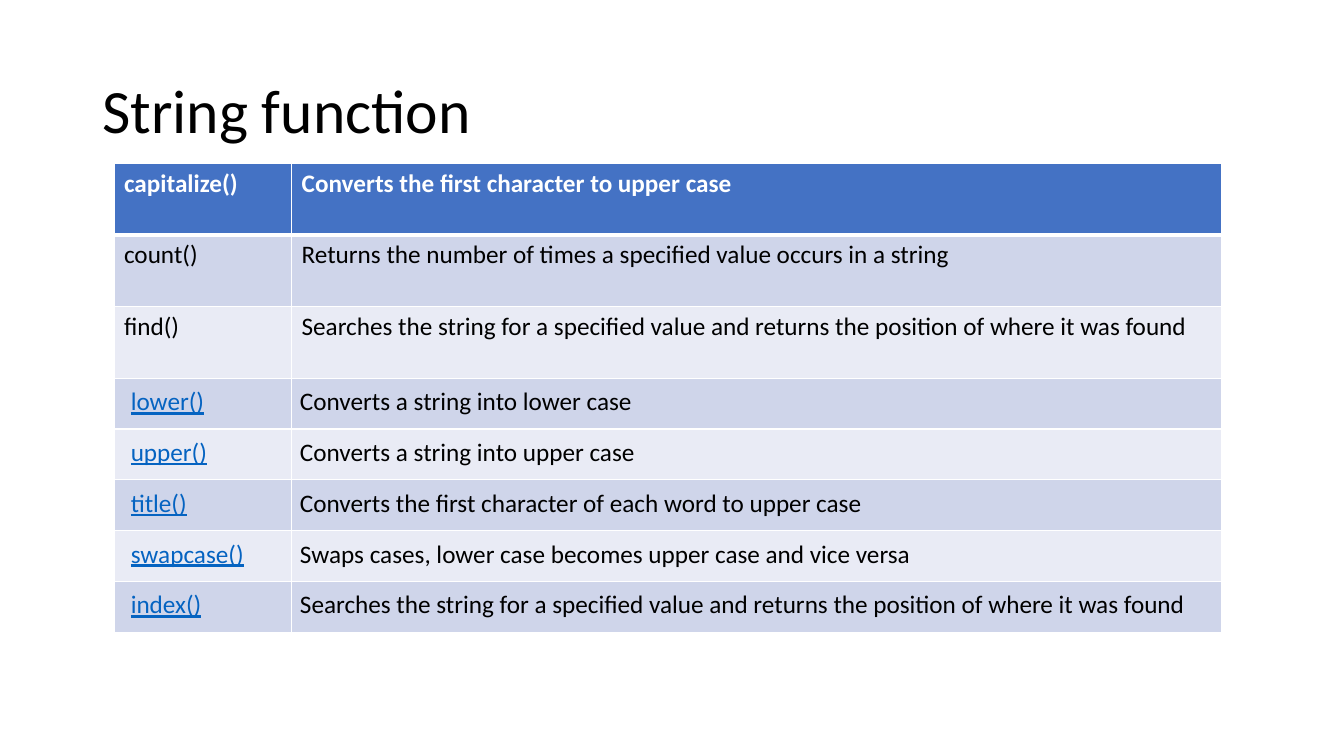
from lxml import etree
from pptx import Presentation
from pptx.dml.color import RGBColor
from pptx.enum.text import MSO_ANCHOR
from pptx.oxml.ns import qn
from pptx.util import Pt

MIDDLE = MSO_ANCHOR.MIDDLE
BLACK = RGBColor(0x00, 0x00, 0x00)
WHITE = RGBColor(0xFF, 0xFF, 0xFF)
HEADER_BLUE = RGBColor(0x44, 0x72, 0xC4)
DARK_BAND = RGBColor(0xCF, 0xD5, 0xEA)
LIGHT_BAND = RGBColor(0xE9, 0xEB, 0xF5)
LINK_BLUE = RGBColor(0x05, 0x63, 0xC1)

PLAIN_ROWS = 3
PLAIN_HEIGHT, LINK_HEIGHT = 51.2, 36.3
PLAIN_MARGINS = (7.2, 3.6, 7.2, 3.6)
NAME_MARGINS = (12, 6, 6, 6)
MEANING_MARGINS = (6, 6, 6, 6)
COLUMN_WIDTHS = (126.9, 664.4)

FUNCTIONS = [
    ("capitalize()", "Converts the first character to upper case"),
    ("count()", "Returns the number of times a specified value occurs in a string"),
    ("find()", "Searches the string for a specified value and returns the position of where it was found"),
    ("lower()", "Converts a string into lower case"),
    ("upper()", "Converts a string into upper case"),
    ("title()", "Converts the first character of each word to upper case"),
    ("swapcase()", "Swaps cases, lower case becomes upper case and vice versa"),
    ("index()", "Searches the string for a specified value and returns the position of where it was found"),
]


class SlideBuilder:
    font_name = "Calibri"
    title_size = 44
    body_size = 18

    def __init__(self, slide):
        self.slide = slide

    def style(self, paragraph, size, color, bold=False, underline=False):
        font = paragraph.font
        font.name = self.font_name
        font.size = Pt(size)
        font.color.rgb = color
        font.bold = bold
        font.underline = underline

    def title(self, text, left, top, width, height):
        box = self.slide.shapes.add_textbox(Pt(left), Pt(top), Pt(width), Pt(height))
        frame = box.text_frame
        frame.word_wrap = True
        frame.vertical_anchor = MIDDLE
        heading = frame.paragraphs[0]
        heading.text = text
        heading.line_spacing = 0.9
        self.style(heading, self.title_size, BLACK)

    def borders(self, cell, top, bottom):
        properties = cell._tc.get_or_add_tcPr()
        widths = {"a:lnL": 1, "a:lnR": 1, "a:lnT": top, "a:lnB": bottom}
        for position, (side, width) in enumerate(widths.items()):
            line = etree.Element(qn(side), w=str(Pt(width)))
            fill = etree.SubElement(line, qn("a:solidFill"))
            etree.SubElement(fill, qn("a:srgbClr"), val=str(WHITE))
            properties.insert(position, line)

    def cell(self, cell, text, row, column):
        header = row == 0
        linked = row >= PLAIN_ROWS
        link = linked and column == 0
        margins = PLAIN_MARGINS
        if linked:
            margins = NAME_MARGINS if link else MEANING_MARGINS
        cell.margin_left, cell.margin_top, cell.margin_right, cell.margin_bottom = map(Pt, margins)
        cell.fill.solid()
        band = DARK_BAND if row % 2 else LIGHT_BAND
        cell.fill.fore_color.rgb = HEADER_BLUE if header else band
        self.borders(cell, 3 if row == 1 else 1, 3 if header else 1)
        entry = cell.text_frame.paragraphs[0]
        entry.text = text
        color = WHITE if header else LINK_BLUE if link else BLACK
        self.style(entry, self.body_size, color, header, link)

    def function_table(self, functions, left, top):
        heights = [PLAIN_HEIGHT if row < PLAIN_ROWS else LINK_HEIGHT for row in range(len(functions))]
        table = self.slide.shapes.add_table(
            len(functions), len(COLUMN_WIDTHS),
            Pt(left), Pt(top), Pt(sum(COLUMN_WIDTHS)), Pt(sum(heights)),
        ).table
        for column, width in zip(table.columns, COLUMN_WIDTHS):
            column.width = Pt(width)
        for row, (height, texts) in enumerate(zip(heights, functions)):
            table.rows[row].height = Pt(height)
            for column, text in enumerate(texts):
                self.cell(table.cell(row, column), text, row, column)


def main():
    presentation = Presentation()
    presentation.slide_width, presentation.slide_height = Pt(960), Pt(540)
    builder = SlideBuilder(presentation.slides.add_slide(presentation.slide_layouts[6]))
    builder.title("String function", 66, 28.8, 828, 104.4)
    builder.function_table(FUNCTIONS, 81.4, 116.6)
    presentation.save("out.pptx")


if __name__ == "__main__":
    main()
